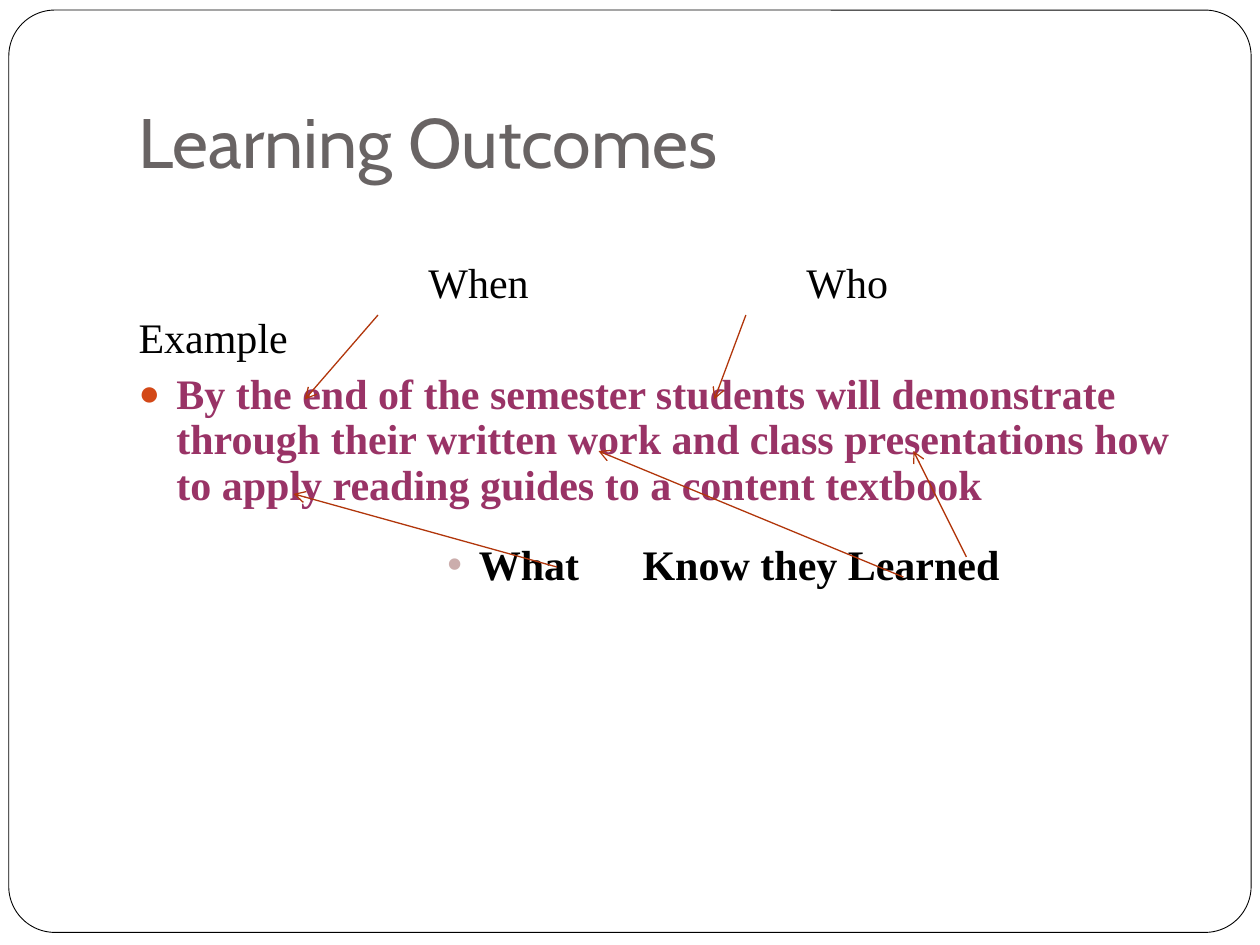
from dataclasses import dataclass

from lxml.etree import SubElement
from pptx import Presentation
from pptx.dml.color import RGBColor
from pptx.enum.shapes import MSO_CONNECTOR, MSO_SHAPE
from pptx.enum.text import MSO_ANCHOR, MSO_AUTO_SIZE, PP_ALIGN
from pptx.oxml.ns import qn
from pptx.util import Inches, Pt


@dataclass(frozen=True)
class Theme:
    """Colours, fonts and type sizes of the slide."""
    paper: str = "FFFFFF"
    ink: str = "000000"
    heading: str = "696464"
    emphasis: str = "993366"
    bullet: str = "D34817"
    pale_bullet: str = "CBADAC"
    arrow: str = "B1360B"
    heading_font: str = "Cabin"
    body_font: str = "Times New Roman"
    heading_size: int = 40
    body_size: int = 24


class SlideBuilder:
    """Adds styled elements to one slide."""

    def __init__(self, slide, theme):
        self.slide = slide
        self.theme = theme

    def place(self, shape, left, top, width, height):
        """Set the position and size of a shape in inches."""
        shape.left, shape.top = Inches(left), Inches(top)
        shape.width, shape.height = Inches(width), Inches(height)

    def style(self, paragraph, font_name, size, color, bold=False):
        """Format every run of a paragraph."""
        for run in paragraph.runs:
            run.font.name = font_name
            run.font.size = Pt(size)
            run.font.bold = bold
            run.font.color.rgb = RGBColor.from_string(color)

    def frame(self, left, top, width, height):
        """Add the rounded border behind all other elements."""
        shape = self.slide.shapes.add_shape(
            MSO_SHAPE.ROUNDED_RECTANGLE, Inches(left), Inches(top), Inches(width), Inches(height))
        shape.adjustments[0] = 0.05
        shape.shadow.inherit = False
        shape.fill.solid()
        shape.fill.fore_color.rgb = RGBColor.from_string(self.theme.paper)
        shape.line.color.rgb = RGBColor.from_string(self.theme.ink)
        shape.line.width = Pt(0.5)
        shape.element.getparent().insert(2, shape.element)

    def title(self, text):
        """Fill the title placeholder."""
        shape = self.slide.shapes.title
        self.place(shape, 1, 0.3, 8.5, 1.25)
        text_frame = shape.text_frame
        text_frame.text = text
        text_frame.auto_size = MSO_AUTO_SIZE.NONE
        text_frame.vertical_anchor = MSO_ANCHOR.BOTTOM
        text_frame.margin_bottom = Inches(0.1)
        paragraph = text_frame.paragraphs[0]
        paragraph.alignment = PP_ALIGN.LEFT
        self.style(paragraph, self.theme.heading_font, self.theme.heading_size, self.theme.heading)

    def body(self):
        """Prepare the body placeholder and return its text frame."""
        shape = self.slide.placeholders[1]
        self.place(shape, 1, 1.58, 8.5, 5)
        text_frame = shape.text_frame
        text_frame.auto_size = MSO_AUTO_SIZE.NONE
        text_frame.margin_top = Inches(0.5)
        return text_frame

    def line(self, paragraph, text, color, bold=False, level=0, indent=0.3, hanging=0.3,
             space_before=5.8, bullet=None):
        """Write one body paragraph, with a bullet of (symbol, colour, percent) if given."""
        paragraph.text = text
        paragraph.level = level
        paragraph.alignment = PP_ALIGN.LEFT
        paragraph.line_spacing = 0.9
        paragraph.space_before = Pt(space_before)
        paragraph.space_after = Pt(0)
        self.style(paragraph, self.theme.body_font, self.theme.body_size, color, bold)
        properties = paragraph._p.get_or_add_pPr()
        properties.set("marL", str(Inches(indent)))
        properties.set("indent", str(-Inches(hanging)))
        properties.set("defTabSz", str(Inches(1)))
        if bullet is None:
            SubElement(properties, qn("a:buNone"))
            return
        symbol, bullet_color, percent = bullet
        color_element = SubElement(properties, qn("a:buClr"))
        SubElement(color_element, qn("a:srgbClr"), val=bullet_color)
        SubElement(properties, qn("a:buSzPct"), val=str(percent * 1000))
        SubElement(properties, qn("a:buChar"), char=symbol)

    def arrow(self, start, end):
        """Draw a thin line with an open arrowhead at its end."""
        connector = self.slide.shapes.add_connector(
            MSO_CONNECTOR.STRAIGHT, *(Inches(value) for value in start + end))
        connector.line.color.rgb = RGBColor.from_string(self.theme.arrow)
        connector.line.width = Pt(0.75)
        SubElement(connector.line._get_or_add_ln(), qn("a:tailEnd"), type="arrow")
        SubElement(connector.element.spPr, qn("a:effectLst"))


def main():
    """Build and save the slide."""
    presentation = Presentation()
    presentation.slide_width, presentation.slide_height = Inches(10), Inches(7.5)
    theme = Theme()
    builder = SlideBuilder(
        presentation.slides.add_slide(presentation.slide_layouts[1]), theme)
    builder.frame(0.07, 0.08, 9.86, 7.32)
    builder.title("Learning Outcomes")

    text_frame = builder.body()
    builder.line(text_frame.paragraphs[0], "\t\t\tWhen\t\t\tWho", theme.ink)
    builder.line(text_frame.add_paragraph(), "Example", theme.ink)
    builder.line(
        text_frame.add_paragraph(),
        "By the end of the semester students will demonstrate through their written work "
        "and class presentations how to apply reading guides to a content textbook",
        theme.emphasis, bold=True, bullet=("●", theme.bullet, 85))
    builder.line(
        text_frame.add_paragraph(), "What\tKnow they Learned", theme.ink, bold=True, level=8,
        indent=2.7, hanging=0.25, space_before=20, bullet=("•", theme.pale_bullet, 100))

    arrows = [
        ((3, 2.5), (2.42, 3.17)),
        ((5.92, 2.5), (5.67, 3.17)),
        ((4.42, 4.5), (2.33, 3.92)),
        ((7.17, 4.58), (4.75, 3.58)),
        ((7.67, 4.42), (7.25, 3.58)),
    ]
    for start, end in arrows:
        builder.arrow(start, end)
    presentation.save("out.pptx")


if __name__ == "__main__":
    main()
